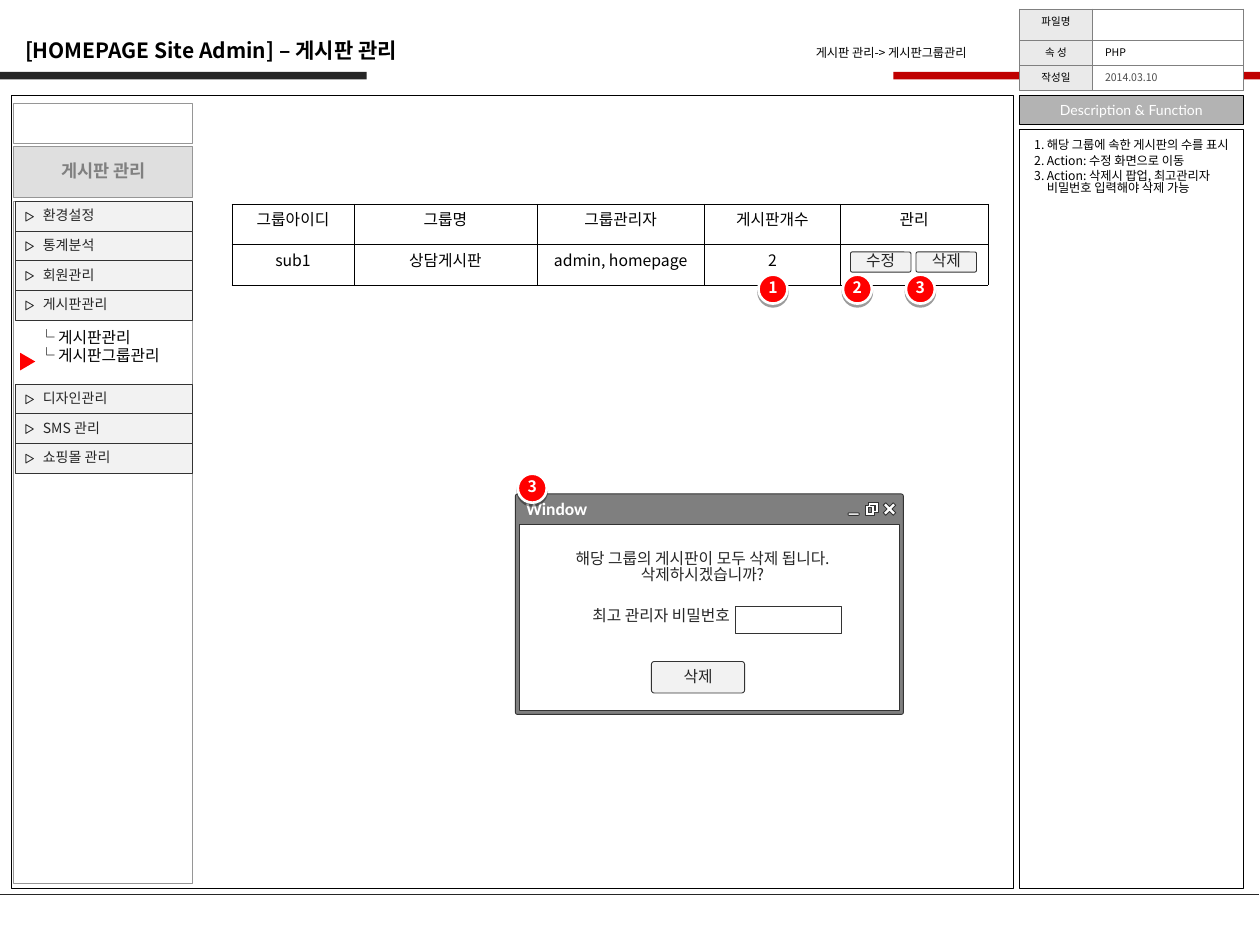
from lxml.etree import SubElement
from pptx import Presentation
from pptx.dml.color import RGBColor
from pptx.enum.shapes import MSO_CONNECTOR, MSO_SHAPE as SHAPE
from pptx.enum.text import MSO_ANCHOR as ANCHOR, PP_ALIGN as ALIGN
from pptx.oxml import parse_xml
from pptx.oxml.ns import nsdecls, qn
from pptx.util import Inches, Pt

SANS = "Noto Sans CJK KR"
TIGHT = 0.84
PAD = (0.1, 0.05, 0.1, 0.05)


def color(value):
    return RGBColor.from_string(value)


def set_format(target, values):
    for name, value in values.items():
        setattr(target, name, value)


def write(frame, lines, size, ink="000000", bold=False, font=SANS, align=ALIGN.LEFT,
          anchor=ANCHOR.TOP, pad=PAD, spacing=TIGHT, wrap=True):
    sides = ("margin_left", "margin_top", "margin_right", "margin_bottom")
    set_format(frame, {"word_wrap": wrap, "vertical_anchor": anchor,
                       **{side: Inches(gap) for side, gap in zip(sides, pad)}})
    for index, line in enumerate(lines):
        paragraph = frame.add_paragraph() if index else frame.paragraphs[0]
        set_format(paragraph, {"alignment": align, "line_spacing": spacing})
        run = paragraph.add_run()
        run.text = line
        set_format(run.font, {"size": Pt(size), "bold": bold, "name": font})
        run.font.color.rgb = color(ink)
        SubElement(run._r.get_or_add_rPr(), qn("a:ea"), typeface=font)


def paint(shape, fill=None, line=None, width=0.5):
    shape.shadow.inherit = False
    if fill:
        shape.fill.solid()
        shape.fill.fore_color.rgb = color(fill)
    else:
        shape.fill.background()
    if line:
        shape.line.color.rgb = color(line)
        shape.line.width = Pt(width)
    else:
        shape.line.fill.background()
    return shape


def add_box(slide, box, fill=None, line=None, kind=SHAPE.RECTANGLE, width=0.5):
    return paint(slide.shapes.add_shape(kind, *map(Inches, box)), fill, line, width)


def add_text(slide, box, lines, size, **style):
    write(slide.shapes.add_textbox(*map(Inches, box)).text_frame, lines, size, **style)


def add_outline(slide, left, top, contours, fill, line=None):
    builder = None
    for contour in contours:
        points = [(Inches(left + x), Inches(top + y)) for x, y in contour]
        if builder is None:
            builder = slide.shapes.build_freeform(*points[0])
        else:
            builder.move_to(*points[0])
        builder.add_line_segments(points[1:], close=True)
    paint(builder.convert_to_shape(), fill, line)


def add_button(slide, box, label):
    button = add_box(slide, box, "F2F2F2", "333333", SHAPE.ROUNDED_RECTANGLE)
    button.adjustments[0] = 0.09
    write(button.text_frame, [label], 9, "262626", align=ALIGN.CENTER, anchor=ANCHOR.MIDDLE)


def add_badge(slide, left, top, number):
    badge = add_box(slide, (left, top, 0.23, 0.23), "FF0000", "FFFFFF", SHAPE.OVAL, 1.5)
    effects = badge._element.spPr.find(qn("a:effectLst"))
    effects.append(parse_xml(
        f'<a:outerShdw {nsdecls("a")} blurRad="0" dist="{Pt(1.6)}" dir="5400000">'
        '<a:srgbClr val="000000"><a:alpha val="38000"/></a:srgbClr></a:outerShdw>'))
    write(badge.text_frame, [number], 9, "FFFFFF", True, align=ALIGN.CENTER,
          anchor=ANCHOR.MIDDLE, pad=(0, 0, 0, 0), wrap=False)


def style_cell(cell, text, size, border, width, fill=None, **style):
    if fill:
        cell.fill.solid()
        cell.fill.fore_color.rgb = color(fill)
    else:
        cell.fill.background()
    properties = cell._tc.get_or_add_tcPr()
    for index, side in enumerate("LRTB"):
        properties.insert(index, parse_xml(
            f'<a:ln{side} {nsdecls("a")} w="{Pt(width)}"><a:solidFill>'
            f'<a:srgbClr val="{border}"/></a:solidFill></a:ln{side}>'))
    if text:
        write(cell.text_frame, [text], size, anchor=ANCHOR.MIDDLE, **style)
    else:
        SubElement(cell.text_frame.paragraphs[0]._p, qn("a:endParaRPr"), sz=str(size * 100))


def add_grid(slide, left, top, columns, rows):
    table = slide.shapes.add_table(len(rows), len(columns), Inches(left), Inches(top),
                                   Inches(sum(columns)), Inches(sum(rows))).table
    set_format(table, {"first_row": False, "horz_banding": False})
    for column, width in zip(table.columns, columns):
        column.width = Inches(width)
    for row, height in zip(table.rows, rows):
        row.height = Inches(height)
    return table


def header(slide, left, top, width):
    add_box(slide, (left + 7.09, top + 0.57, width - 7.09, 0.06), "C00000")
    add_box(slide, (left, top + 0.57, 2.91, 0.06), "262626")
    add_text(slide, (left + 0.1, top + 0.28, 3.81, 0.3),
             ["[HOMEPAGE Site Admin] – 게시판 관리"], 12, bold=True)
    add_text(slide, (left + 6.32, top + 0.33, 1.45, 0.22),
             ["게시판 관리-> 게시판그룹관리"], 7, align=ALIGN.RIGHT, wrap=False)


def file_info(slide, left, top):
    table = add_grid(slide, left, top, [0.58, 1.2], [0.25, 0.2, 0.2])
    facts = [("파일명", "", "000000"), ("속 성", "PHP", "000000"),
             ("작성일", "2014.03.10", "4D4D4D")]
    pad = (0.1, 0.03, 0.1, 0.03)
    for row, (label, value, ink) in enumerate(facts):
        style_cell(table.cell(row, 0), label, 6, "808080", 0.35, "EAEAEA",
                   align=ALIGN.CENTER, pad=pad)
        style_cell(table.cell(row, 1), value, 6, "808080", 0.35, "FFFFFF", ink=ink, pad=pad)


def menu(slide, left, top, labels):
    pitch = 0.235
    for index, label in enumerate(labels):
        y = top + index * pitch
        item = add_box(slide, (left, y, 1.41, 0.24), "F2F2F2", "333333")
        write(item.text_frame, [label], 8, "262626", anchor=ANCHOR.MIDDLE,
              pad=(0.22, 0.04, 0.04, 0.04))
        marker = add_box(slide, (left + 0.08, y + 0.09, 0.07, 0.06), "F2F2F2", "333333",
                         SHAPE.ISOSCELES_TRIANGLE)
        marker.rotation = 90


def sidebar(slide, left, top, width, height):
    add_box(slide, (left, top, width, 0.32), "FFFFFF", "969696")
    add_box(slide, (left, top + 0.78, width, height - 0.78), line="969696")
    heading = add_box(slide, (left, top + 0.34, width, 0.41), "C0C0C0", "969696")
    tint = heading._element.spPr.find(qn("a:solidFill"))[0]
    SubElement(tint, qn("a:alpha"), val="50000")
    write(heading.text_frame, ["게시판 관리"], 10, "808080", True, align=ALIGN.CENTER,
          anchor=ANCHOR.MIDDLE)
    menu(slide, left + 0.01, top + 0.78, ["환경설정", "통계분석", "회원관리", "게시판관리"])
    add_text(slide, (left + 0.1, top + 1.74, 1.16, 0.46),
             ["└ 게시판관리", "└ 게시판그룹관리"], 9, spacing=0.97, wrap=False)
    menu(slide, left + 0.01, top + 2.23, ["디자인관리", "SMS 관리", "쇼핑몰 관리"])
    add_outline(slide, left + 0.05, top + 1.98, [[(0, 0), (0.12, 0.07), (0, 0.14)]], "FF0000")


def description(slide, left, top, width, height):
    add_box(slide, (left, top + 0.27, width, height - 0.27), line="000000")
    title = add_box(slide, (left, top, width, 0.23), "B3B3B3", "000000")
    write(title.text_frame, ["Description & Function"], 8, "FFFFFF", font="Lato",
          align=ALIGN.CENTER, anchor=ANCHOR.MIDDLE, spacing=1.0)
    notes = slide.shapes.add_textbox(*map(Inches, (left + 0.02, top + 0.3, 1.75, 5.94)))
    write(notes.text_frame, ["해당 그룹에 속한 게시판의 수를 표시", "Action: 수정 화면으로 이동",
                             "Action: 삭제시 팝업, 최고관리자 비밀번호 입력해야 삭제 가능"], 7)
    for index, paragraph in enumerate(notes.text_frame.paragraphs):
        if index:
            paragraph.space_before = Pt(1.8)
        properties = paragraph._p.get_or_add_pPr()
        properties.set("marL", str(Inches(0.1)))
        properties.set("indent", str(-Inches(0.1)))
        SubElement(properties, qn("a:buAutoNum"), type="arabicPeriod")


def group_list(slide, left, top):
    rows = [["그룹아이디", "그룹명", "그룹관리자", "게시판개수", "관리"],
            ["sub1", "상담게시판", "admin, homepage", "2", ""]]
    table = add_grid(slide, left, top, [0.97, 1.45, 1.33, 1.08, 1.17], [0.32, 0.32])
    for row, texts in enumerate(rows):
        for column, text in enumerate(texts):
            style_cell(table.cell(row, column), text, 9, "000000", 0.25,
                       align=ALIGN.CENTER, pad=(0.01, 0.05, 0.01, 0.05))
    for x, label in ((4.91, "수정"), (5.43, "삭제")):
        add_button(slide, (left + x, top + 0.38, 0.48, 0.16), label)
    for x, number in ((4.18, "1"), (4.85, "2"), (5.35, "3")):
        add_badge(slide, left + x, top + 0.56, number)


def delete_window(slide, left, top, width, height):
    window = add_box(slide, (left, top, width, height), "7F7F7F", "333333",
                     SHAPE.ROUNDED_RECTANGLE)
    window.adjustments[0] = 0.01
    write(window.text_frame, ["Window"], 10, "FFFFFF", True, "Calibri",
          pad=(0.08, 0.03, 0.08, 0.03), spacing=1.0)
    add_box(slide, (left + 0.03, top + 0.24, width - 0.06, height - 0.27), "FFFFFF", "333333")
    close = [(0, 0.02), (0.02, 0), (0.05, 0.03), (0.08, 0), (0.1, 0.02), (0.07, 0.05),
             (0.1, 0.08), (0.08, 0.1), (0.05, 0.07), (0.02, 0.1), (0, 0.08), (0.03, 0.05)]
    restore = [[(0.02, 0), (0.1, 0), (0.1, 0.08), (0.07, 0.08), (0.07, 0.1), (0, 0.1),
                (0, 0.02), (0.02, 0.02)],
               [(0.04, 0.02), (0.08, 0.02), (0.08, 0.06), (0.07, 0.06), (0.07, 0.02)],
               [(0.02, 0.04), (0.05, 0.04), (0.05, 0.08), (0.02, 0.08)]]
    add_outline(slide, left + 2.92, top + 0.07, [close], "FFFFFF", "333333")
    add_outline(slide, left + 2.78, top + 0.07, restore, "FFFFFF", "333333")
    minimise = add_box(slide, (left + 2.64, top + 0.15, 0.09, 0.02), "FFFFFF", "333333",
                       SHAPE.ROUNDED_RECTANGLE)
    minimise.adjustments[0] = 0.5
    add_text(slide, (left + 0.33, top + 0.41, 2.31, 0.4),
             ["해당 그룹의 게시판이 모두 삭제 됩니다.", "삭제하시겠습니까?"], 9,
             ink="262626", align=ALIGN.CENTER, wrap=False)
    add_text(slide, (left + 0.48, top + 0.86, 1.32, 0.25), ["최고 관리자 비밀번호"], 9,
             ink="262626", align=ALIGN.RIGHT, wrap=False)
    add_button(slide, (left + 1.08, top + 1.33, 0.74, 0.25), "삭제")
    add_box(slide, (left + 1.75, top + 0.89, 0.84, 0.22), "FFFFFF", "333333")
    add_badge(slide, left + 0.02, top - 0.16, "3")


def footer(slide, left, top, width):
    rule = slide.shapes.add_connector(MSO_CONNECTOR.STRAIGHT, Inches(left), Inches(top),
                                      Inches(left + width), Inches(top))
    rule.line.color.rgb = color("262626")
    rule.line.width = Pt(0.75)
    SubElement(rule._element.spPr, qn("a:effectLst"))


def main():
    deck = Presentation()
    set_format(deck, {"slide_width": Inches(10), "slide_height": Inches(7.5)})
    slide = deck.slides.add_slide(deck.slide_layouts[6])
    add_box(slide, (0.09, 0.76, 7.95, 6.29), line="000000")
    header(slide, 0, 0, 10)
    sidebar(slide, 0.11, 0.82, 1.42, 6.19)
    description(slide, 8.09, 0.76, 1.78, 6.29)
    group_list(slide, 1.84, 1.62)
    delete_window(slide, 4.09, 3.92, 3.08, 1.75)
    footer(slide, 0, 7.1, 9.99)
    file_info(slide, 8.09, 0.07)
    deck.save("out.pptx")


if __name__ == "__main__":
    main()
